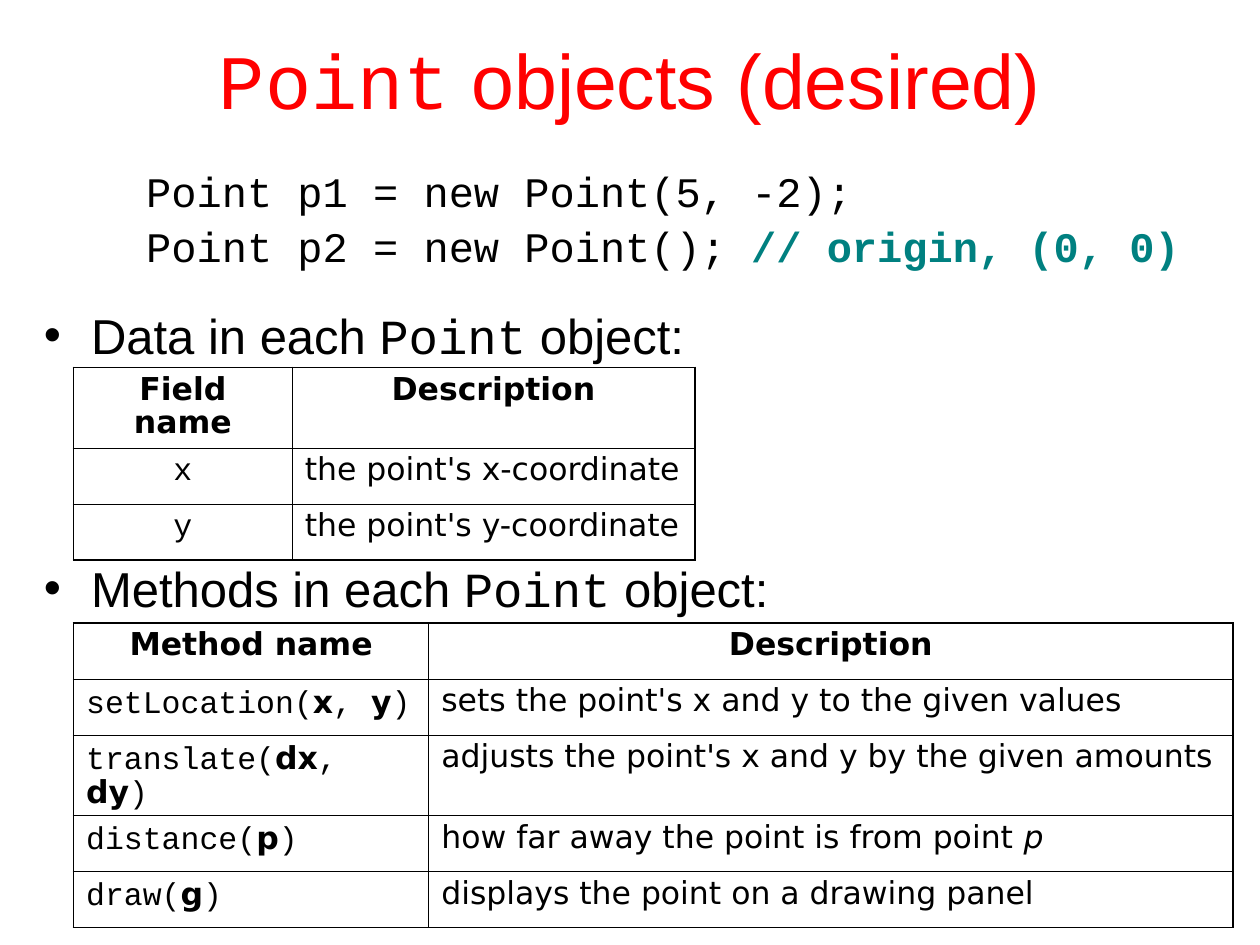
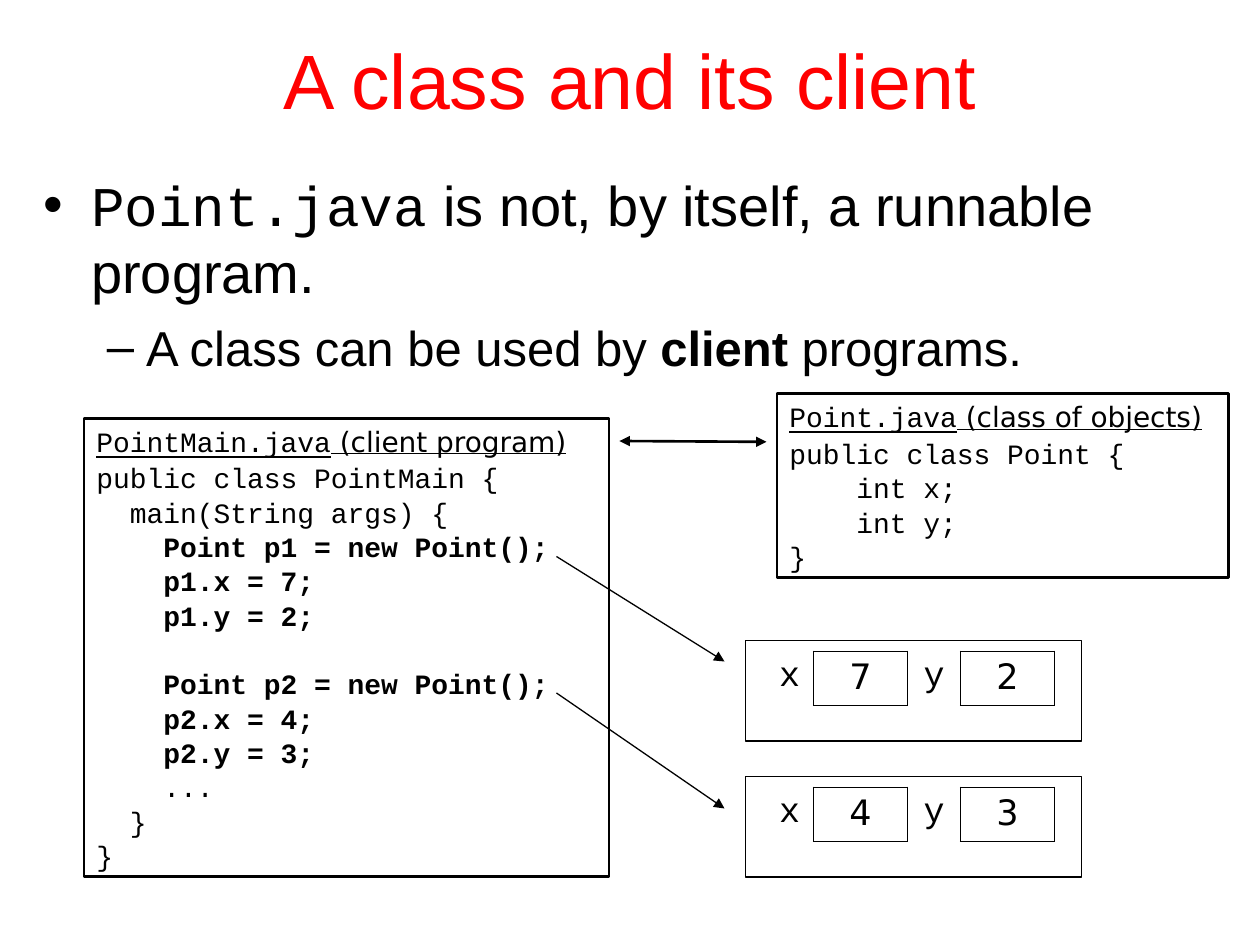
from dataclasses import dataclass

from lxml import etree
from pptx import Presentation
from pptx.dml.color import RGBColor
from pptx.enum.shapes import MSO_CONNECTOR as Line, MSO_SHAPE as Shape
from pptx.enum.text import MSO_ANCHOR as Anchor, PP_ALIGN as Align
from pptx.oxml.ns import qn
from pptx.util import Pt


@dataclass(frozen=True)
class Theme:
    ink: RGBColor = RGBColor(0, 0, 0)
    title: RGBColor = RGBColor(255, 0, 0)
    comment: RGBColor = RGBColor(0, 128, 128)
    body_font: str = "Arial"
    code_font: str = "Courier New"
    label_font: str = "DejaVu Sans"
    title_size: float = 44
    lead_size: float = 32
    point_size: float = 28
    example_size: float = 24
    value_size: float = 20
    cell_size: float = 18
    listing_size: float = 16
    outer_line: float = 1.08
    inner_line: float = 0.45


T = Theme()

STYLES = {
    "body": {"name": T.body_font},
    "strong": {"name": T.body_font, "bold": True},
    "code": {"name": T.code_font},
    "code strong": {"name": T.code_font, "bold": True},
    "comment": {"name": T.code_font, "bold": True, "color": T.comment},
    "code heading": {"name": T.code_font, "underline": True},
    "label heading": {"name": T.label_font, "underline": True},
    "label": {"name": T.label_font},
    "label strong": {"name": T.label_font, "bold": True},
    "label italic": {"name": T.label_font, "italic": True},
}

DESIRED_TITLE = [("Point", "code"), (" objects (desired)", "body")]
EXAMPLE = [
    [("Point p1 = new Point(5, -2);", "code")],
    [("Point p2 = new Point(); ", "code"), ("// origin, (0, 0)", "comment")],
]
SECTIONS = [("Data", 19), ("Methods", 111)]
FIELDS = [("x", "the point's x-coordinate"), ("y", "the point's y-coordinate")]
METHODS = [
    ("setLocation", ["x", "y"], [("sets the point's x and y to the given values", "label")]),
    ("translate", ["dx", "dy"], [("adjusts the point's x and y by the given amounts", "label")]),
    ("distance", ["p"], [("how far away the point is from point ", "label"), ("p", "label italic")]),
    ("draw", ["g"], [("displays the point on a drawing panel", "label")]),
]

CLIENT_TITLE = [("A class and its client", "body")]
LEAD = [("Point.java", "code"), (" is not, by itself, a runnable program.", "body")]
DETAIL = [("A class can be used by ", "body"), ("client", "strong"), (" programs.", "body")]
LISTINGS = [
    {
        "file": "PointMain.java", "role": " (client program)", "box": (48, 239, 300, 262),
        "code": [
            ("public class PointMain {", "code", 10),
            ("  main(String args) {", "code", 10),
            ("    Point p1 = new Point();", "code strong", 10),
            ("    p1.x = 7;", "code strong", 10),
            ("    p1.y = 2;", "code strong", 10),
            ("    Point p2 = new Point();", "code strong", 29.5),
            ("    p2.x = 4;", "code strong", 10),
            ("    p2.y = 3;", "code strong", 10),
            ("    ...", "code", 10),
            ("  }", "code", 10),
            ("}", "code", 10),
        ],
    },
    {
        "file": "Point.java", "role": " (class of objects)", "box": (444, 225, 258, 105),
        "code": [(line, "code", 10) for line in
                 ("public class Point {", "    int x;", "    int y;", "}")],
    },
]
OBJECTS = [{"x": 7, "y": 2}, {"x": 4, "y": 3}]
OBJECT_TOP, OBJECT_PITCH = 366, 77.75
ARROWS = [
    ((354, 252), (438, 252.5), 1.5, ("headEnd", "tailEnd")),
    ((318, 318), (414, 378), 0.75, ("tailEnd",)),
    ((318, 396), (414, 462), 0.75, ("tailEnd",)),
]


def pts(*lengths):
    return [Pt(length) for length in lengths]


def set_font(font, style):
    for key, value in style.items():
        if key == "color":
            font.color.rgb = value
        else:
            setattr(font, key, value)


def write(paragraph, runs, size, color=T.ink, align=Align.LEFT, before=0, spacing=None,
          bullet=None, left=0, hanging=0):
    paragraph.alignment = align
    paragraph.space_before = Pt(before)
    if spacing:
        paragraph.line_spacing = spacing
    properties = paragraph._p.get_or_add_pPr()
    properties.set("marL", str(Pt(left)))
    properties.set("indent", str(Pt(-hanging)))
    if bullet:
        etree.SubElement(properties, qn("a:buFont")).set("typeface", T.body_font)
        etree.SubElement(properties, qn("a:buChar")).set("char", bullet)
    else:
        etree.SubElement(properties, qn("a:buNone"))
    paragraph.font.size = Pt(size)
    paragraph.font.color.rgb = color
    shared = len({style for _, style in runs}) == 1
    if shared:
        set_font(paragraph.font, STYLES[runs[0][1]])
    for text, style in runs:
        run = paragraph.add_run()
        run.text = text
        if not shared:
            set_font(run.font, STYLES[style])


def fill_frame(frame, lines):
    frame.word_wrap = True
    frame.vertical_anchor = Anchor.TOP
    for index, (runs, options) in enumerate(lines):
        paragraph = frame.add_paragraph() if index else frame.paragraphs[0]
        write(paragraph, runs, **options)


def new_slide(deck, title):
    slide = deck.slides.add_slide(deck.slide_layouts[5])
    heading = slide.shapes.title
    heading.left, heading.top, heading.width, heading.height = pts(54, 0, 612, 90)
    heading.text_frame.vertical_anchor = Anchor.MIDDLE
    write(heading.text_frame.paragraphs[0], title, T.title_size, T.title, Align.CENTER)
    return slide


def add_body(slide, lines):
    fill_frame(slide.shapes.add_textbox(*pts(18, 94, 684, 398)).text_frame, lines)


def add_box(slide, box, weight):
    rect = slide.shapes.add_shape(Shape.RECTANGLE, *pts(*box))
    rect.shadow.inherit = False
    rect.fill.background()
    rect.line.color.rgb = T.ink
    rect.line.width = Pt(weight)
    return rect


def set_borders(cell, weights):
    properties = cell._tc.get_or_add_tcPr()
    for index, (side, weight) in enumerate(zip("LRTB", weights)):
        border = etree.Element(qn(f"a:ln{side}"))
        if weight:
            border.set("w", str(Pt(weight)))
            fill = etree.SubElement(border, qn("a:solidFill"))
            etree.SubElement(fill, qn("a:srgbClr")).set("val", str(T.ink))
        else:
            etree.SubElement(border, qn("a:noFill"))
        properties.insert(index, border)


def add_grid(slide, left, top, widths, height, rows, border_rule, **options):
    table = slide.shapes.add_table(len(rows), len(widths),
                                   *pts(left, top, sum(widths), height * len(rows))).table
    table.first_row = table.horz_banding = False
    for column, width in zip(table.columns, widths):
        column.width = Pt(width)
    for r, row in enumerate(rows):
        table.rows[r].height = Pt(height)
        for c, (runs, align) in enumerate(row):
            cell = table.cell(r, c)
            cell.margin_left = cell.margin_right = Pt(7.2)
            cell.margin_top = cell.margin_bottom = Pt(3.6)
            cell.fill.background()
            write(cell.text_frame.paragraphs[0], runs, align=align, **options)
            set_borders(cell, border_rule(r, c))


def add_reference(slide, top, widths, headings, rows):
    def framed(r, c):
        edges = (c == 0, c == len(widths) - 1, r == 0, r == len(rows))
        return [T.outer_line if edge else T.inner_line for edge in edges]

    header = [([(heading, "label strong")], Align.CENTER) for heading in headings]
    add_grid(slide, 42, top, widths, 32, [header, *rows], framed,
             size=T.cell_size, spacing=0.9)


def signature(name, parameters):
    runs = [(name + "(", "code")]
    for index, parameter in enumerate(parameters):
        if index:
            runs.append((", ", "code"))
        runs.append((parameter, "label strong"))
    return runs + [(")", "code")]


def add_object(slide, top, values):
    def value_boxes(_, c):
        if c % 2:
            return [T.inner_line] * 4
        return [T.inner_line if c else 0, T.inner_line, 0, 0]

    add_box(slide, (426, top, 192, 57.5), 0.75)
    cells = []
    for name, value in values.items():
        cells += [([(name, "code")], Align.CENTER), ([(str(value), "label")], Align.CENTER)]
    add_grid(slide, 437.75, top + 6, (27, 54, 30, 54), 31, [cells], value_boxes,
             size=T.value_size)


def add_listing(slide, listing):
    heading = [(listing["file"], "code heading"), (listing["role"], "label heading")]
    layout = {"size": T.listing_size, "left": 18, "hanging": 18}
    lines = [(heading, layout)]
    lines += [([(text, style)], {**layout, "before": before, "spacing": 0.5})
              for text, style, before in listing["code"]]
    fill_frame(add_box(slide, listing["box"], 1.5).text_frame, lines)


def add_arrow(slide, start, end, weight, heads):
    arrow = slide.shapes.add_connector(Line.STRAIGHT, *pts(*start, *end))
    arrow.line.color.rgb = T.ink
    arrow.line.width = Pt(weight)
    for head in heads:
        etree.SubElement(arrow.line._get_or_add_ln(), qn(f"a:{head}")).set("type", "triangle")
    etree.SubElement(arrow._element.spPr, qn("a:effectLst"))


def build_desired(deck):
    slide = new_slide(deck, DESIRED_TITLE)
    lines = [(runs, {"size": T.example_size, "left": 58.5, "spacing": 0.9,
                     "before": 6 if index else 0}) for index, runs in enumerate(EXAMPLE)]
    for topic, before in SECTIONS:
        runs = [(f"{topic} in each ", "body"), ("Point", "code"), (" object:", "body")]
        lines.append((runs, {"size": T.point_size, "before": before, "bullet": "•",
                             "left": 27, "hanging": 27}))
    add_body(slide, lines)
    methods = [[(signature(name, parameters), Align.LEFT), (description, Align.LEFT)]
               for name, parameters, description in METHODS]
    add_reference(slide, 356, (203, 459.5), ("Method name", "Description"), methods)
    fields = [[([(name, "code")], Align.CENTER), ([(description, "label")], Align.LEFT)]
              for name, description in FIELDS]
    add_reference(slide, 210, (125, 230), ("Field name", "Description"), fields)


def build_client(deck):
    slide = new_slide(deck, CLIENT_TITLE)
    add_body(slide, [
        (LEAD, {"size": T.lead_size, "bullet": "•", "left": 27, "hanging": 27}),
        (DETAIL, {"size": T.point_size, "bullet": "–", "before": 7,
                  "left": 58.5, "hanging": 22.5}),
    ])
    for listing in LISTINGS:
        add_listing(slide, listing)
    for index, values in enumerate(OBJECTS):
        add_object(slide, OBJECT_TOP + index * OBJECT_PITCH, values)
    for arrow in ARROWS:
        add_arrow(slide, *arrow)


def main():
    deck = Presentation()
    deck.slide_width, deck.slide_height = pts(720, 540)
    build_desired(deck)
    build_client(deck)
    deck.save("out.pptx")


if __name__ == "__main__":
    main()
